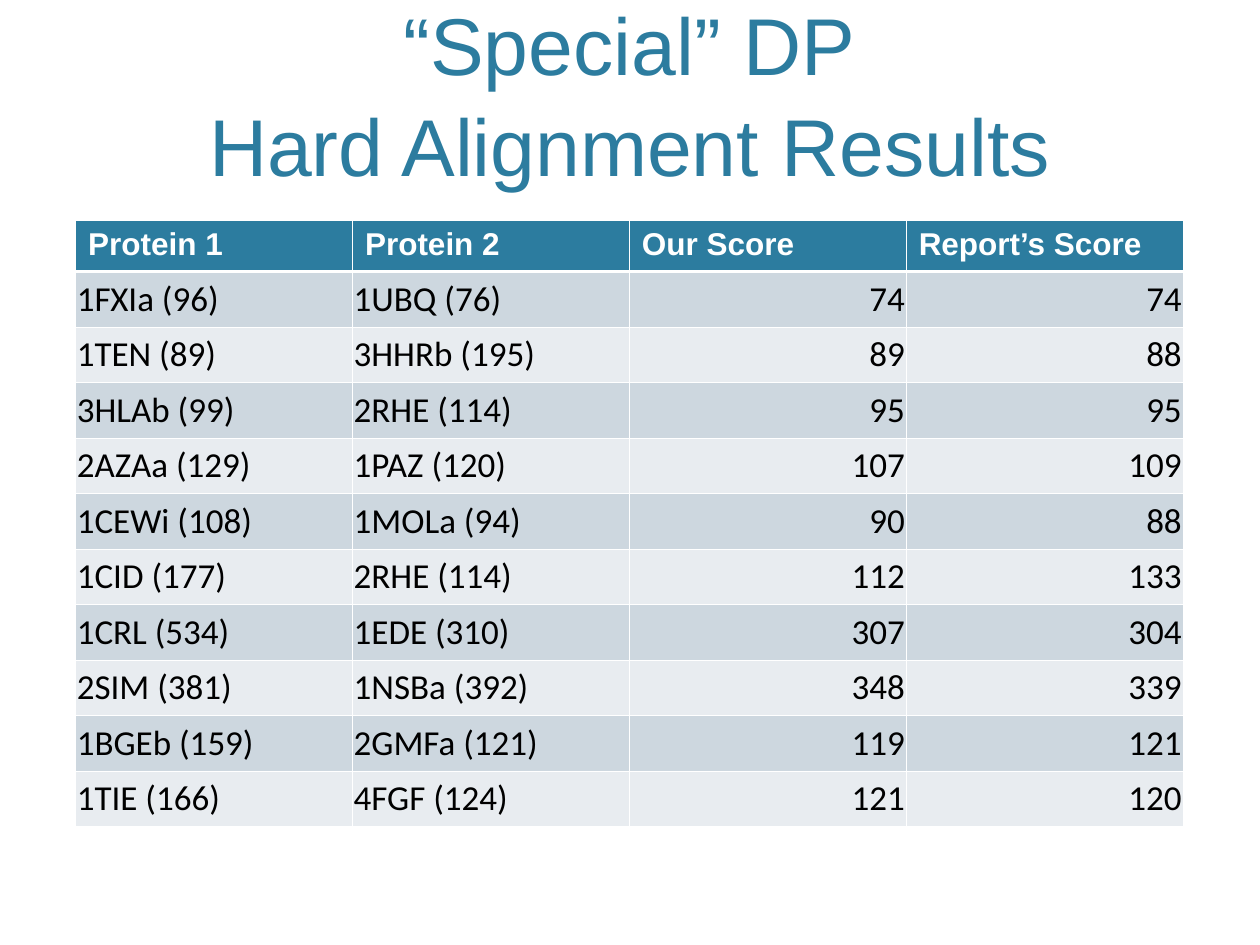
from lxml import etree
from pptx import Presentation
from pptx.dml.color import RGBColor
from pptx.enum.text import MSO_ANCHOR, MSO_AUTO_SIZE, PP_ALIGN
from pptx.oxml.ns import qn
from pptx.util import Inches, Pt

LEFT, RIGHT, CENTER = PP_ALIGN.LEFT, PP_ALIGN.RIGHT, PP_ALIGN.CENTER
TOP, BOTTOM = MSO_ANCHOR.TOP, MSO_ANCHOR.BOTTOM

TEAL, WHITE, BLACK = "2C7C9F", "FFFFFF", "000000"
BANDS = "CDD7DF", "E8ECF0"
THIN, THICK = 0.45, 1.47
EDGE, WIDTH = 0.6, 8.79

HEADS = "Protein 1", "Protein 2", "Our Score", "Report’s Score"
SCORES = [
    ("1FXIa (96)", "1UBQ (76)", 74, 74),
    ("1TEN (89)", "3HHRb (195)", 89, 88),
    ("3HLAb (99)", "2RHE (114)", 95, 95),
    ("2AZAa (129)", "1PAZ (120)", 107, 109),
    ("1CEWi (108)", "1MOLa (94)", 90, 88),
    ("1CID (177)", "2RHE (114)", 112, 133),
    ("1CRL (534)", "1EDE (310)", 307, 304),
    ("2SIM (381)", "1NSBa (392)", 348, 339),
    ("1BGEb (159)", "2GMFa (121)", 119, 121),
    ("1TIE (166)", "4FGF (124)", 121, 120),
]


def color(code):
    return RGBColor.from_string(code)


def write(frame, text, font="Calibri", size=20, fill=BLACK, bold=False,
          align=LEFT, space=None):
    para = frame.paragraphs[0]
    para.text = text
    para.alignment = align
    para.line_spacing = space
    for run in para.runs:
        run.font.name = font
        run.font.size = Pt(size)
        run.font.bold = bold
        run.font.color.rgb = color(fill)


def border(cell, **widths):
    # Border lines must come before the cell's fill
    props = cell._tc.get_or_add_tcPr()
    for spot, (side, width) in enumerate(widths.items()):
        line = etree.Element(qn(f"a:ln{side}"), w=str(int(Pt(width))))
        solid = etree.SubElement(line, qn("a:solidFill"))
        etree.SubElement(solid, qn("a:srgbClr"), val=WHITE)
        props.insert(spot, line)


def add_title(slide, text):
    title = slide.shapes.title
    title.left, title.top = Inches(EDGE), Inches(0.12)
    title.width, title.height = Inches(WIDTH), Inches(1.46)
    frame = title.text_frame
    frame.auto_size = MSO_AUTO_SIZE.NONE
    frame.vertical_anchor = BOTTOM
    write(frame, text, font="Arial", size=46, fill=TEAL, align=CENTER,
          space=1.05)


def style(cell, fill, pad, anchor):
    cell.fill.solid()
    cell.fill.fore_color.rgb = color(fill)
    cell.margin_left = cell.margin_right = Inches(pad)
    cell.margin_top = cell.margin_bottom = Inches(0.05)
    cell.vertical_anchor = anchor


def add_scores(slide):
    count = len(SCORES) + 1
    table = slide.shapes.add_table(
        count, len(HEADS), Inches(EDGE), Inches(1.75),
        Inches(WIDTH), Inches(4.46)).table

    # Header row
    for col, head in enumerate(HEADS):
        cell = table.cell(0, col)
        style(cell, TEAL, 0.1, TOP)
        border(cell, L=THIN, R=THIN, T=THIN, B=THICK)
        write(cell.text_frame, head, font="Arial", size=18, fill=WHITE,
              bold=True)

    # Banded rows, with scores to the right
    for row, values in enumerate(SCORES, 1):
        for col, value in enumerate(values):
            cell = table.cell(row, col)
            style(cell, BANDS[(row - 1) % 2], 0.01, BOTTOM)
            border(cell, L=THIN, R=THIN, T=THICK if row == 1 else THIN, B=THIN)
            write(cell.text_frame, str(value),
                  align=RIGHT if isinstance(value, int) else LEFT)


def main():
    deck = Presentation()
    deck.slide_width, deck.slide_height = Inches(10), Inches(7.5)
    slide = deck.slides.add_slide(deck.slide_layouts[5])
    add_title(slide, "“Special” DP\vHard Alignment Results")
    add_scores(slide)
    deck.save("out.pptx")


if __name__ == "__main__":
    main()
